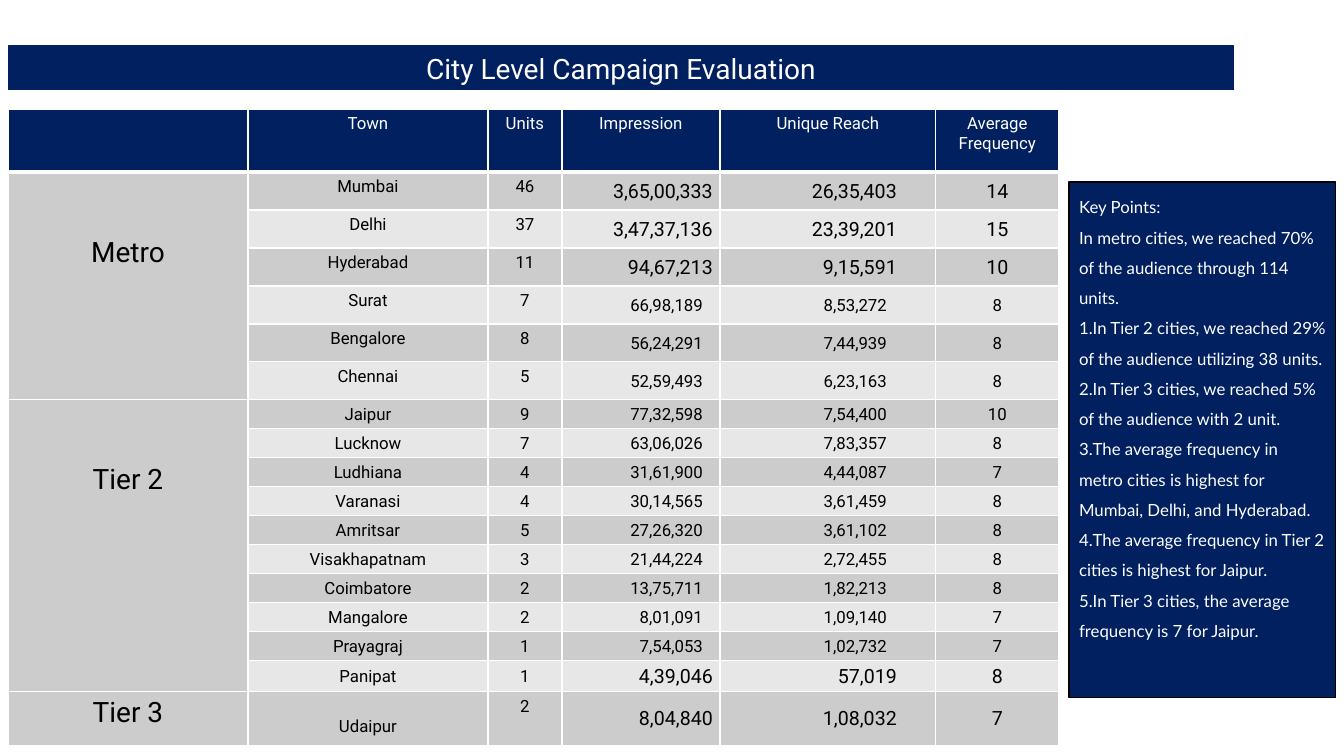
"""Build the city level campaign evaluation slide."""
import pptx
import pptx.dml.color
import pptx.enum.text
import pptx.util
from lxml import etree
from pptx.oxml.ns import qn

NAVY, WHITE, BLACK, GREY, PALE = "002060", "FFFFFF", "000000", "CCCCCC", "E7E7E7"
ALIGN = pptx.enum.text.PP_ALIGN
ANCHOR = pptx.enum.text.MSO_ANCHOR

HEADINGS = ["", "Town", "Units", "Impression", "Unique Reach", "Average Frequency"]
COLUMN_WIDTHS = [240, 240, 74, 158, 216, 123]
CITIES = [
    ("Mumbai", "46", "3,65,00,333", "26,35,403", "14"),
    ("Delhi", "37", "3,47,37,136", "23,39,201", "15"),
    ("Hyderabad", "11", "94,67,213", "9,15,591", "10"),
    ("Surat", "7", "66,98,189", "8,53,272", "8"),
    ("Bengalore", "8", "56,24,291", "7,44,939", "8"),
    ("Chennai", "5", "52,59,493", "6,23,163", "8"),
    ("Jaipur", "9", "77,32,598", "7,54,400", "10"),
    ("Lucknow", "7", "63,06,026", "7,83,357", "8"),
    ("Ludhiana", "4", "31,61,900", "4,44,087", "7"),
    ("Varanasi", "4", "30,14,565", "3,61,459", "8"),
    ("Amritsar", "5", "27,26,320", "3,61,102", "8"),
    ("Visakhapatnam", "3", "21,44,224", "2,72,455", "8"),
    ("Coimbatore", "2", "13,75,711", "1,82,213", "8"),
    ("Mangalore", "2", "8,01,091", "1,09,140", "7"),
    ("Prayagraj", "1", "7,54,053", "1,02,732", "7"),
    ("Panipat", "1", "4,39,046", "57,019", "8"),
    ("Udaipur", "2", "8,04,840", "1,08,032", "7"),
]
TIERS = [("Metro", 1, 6, 64), ("Tier 2", 7, 16, 64), ("Tier 3", 17, 17, 5)]
LARGE_FIGURES = {"Mumbai", "Delhi", "Hyderabad", "Panipat", "Udaipur"}
RIGHT_GAPS = {2: 7, 3: 39}
ROW_HEIGHTS = [63] + [38] * 6 + [29] * 9 + [31, 54]
KEY_POINTS = [
    "In Tier 2 cities, we reached 29% of the audience utilizing 38 units.",
    "In Tier 3 cities, we reached 5% of the audience with 2 unit.",
    "The average frequency in metro cities is highest for Mumbai, Delhi, and Hyderabad.",
    "The average frequency in Tier 2 cities is highest for Jaipur.",
    "In Tier 3 cities, the average frequency is 7 for Jaipur.",
]


def px(length):
    """Turn px into EMU."""
    return pptx.util.Emu(round(length * 12192000 / 1344))


def color(hex_code):
    """Turn a hex string into a colour."""
    return pptx.dml.color.RGBColor.from_string(hex_code)


def add_run(paragraph, text, size, hex_code, font="Roboto"):
    """Add one formatted run."""
    run = paragraph.add_run()
    run.text = text
    run.font.name = font
    run.font.size = pptx.util.Pt(size)
    run.font.bold = False
    run.font.color.rgb = color(hex_code)


def style_cell(cell, fill, bottom=1):
    """Give a cell its white borders and its fill."""
    properties = cell._tc.get_or_add_tcPr()
    for side, points in (("L", 1), ("R", 1), ("T", 1), ("B", bottom)):
        border = etree.SubElement(properties, qn(f"a:ln{side}"), w=str(points * 12700))
        paint = etree.SubElement(border, qn("a:solidFill"))
        etree.SubElement(paint, qn("a:srgbClr"), val=WHITE)
    cell.fill.solid()
    cell.fill.fore_color.rgb = color(fill)


def write_cell(cell, text, size, hex_code=BLACK, align=ALIGN.CENTER, margins=(10, 5, 10, 5),
               anchor=ANCHOR.TOP):
    """Write one line of text into a cell."""
    cell.margin_left, cell.margin_top, cell.margin_right, cell.margin_bottom = map(px, margins)
    cell.vertical_anchor = anchor
    paragraph = cell.text_frame.paragraphs[0]
    paragraph.alignment = align
    add_run(paragraph, text, size, hex_code)


def write_city(table, row, city):
    """Fill the five cells of one city."""
    town = city[0]
    for column, text in enumerate(city):
        cell = table.cell(row, column + 1)
        if column >= 2:
            size = 14 if town in LARGE_FIGURES else 12
            gap = RIGHT_GAPS.get(column)
            if gap:
                right = gap if size == 14 else gap + 10
                write_cell(cell, text, size, align=ALIGN.RIGHT, margins=(1, 1, right, 0),
                           anchor=ANCHOR.MIDDLE)
            else:
                write_cell(cell, text, size, margins=(1, 1, 1, 0), anchor=ANCHOR.MIDDLE)
        elif 7 <= row <= 16:
            write_cell(cell, text, 12, margins=(1, 1, 1, 0), anchor=ANCHOR.MIDDLE)
        else:
            top = 25 if town == "Udaipur" and column == 0 else 5
            write_cell(cell, text, 12, margins=(10, top, 10, 5))


def add_city_table(slide):
    """Add the table of cities grouped by tier."""
    frame = slide.shapes.add_table(len(ROW_HEIGHTS), len(COLUMN_WIDTHS), px(8), px(109),
                                   px(sum(COLUMN_WIDTHS)), px(sum(ROW_HEIGHTS)))
    table = frame.table
    table.first_row = table.horz_banding = False
    for column, width in zip(table.columns, COLUMN_WIDTHS):
        column.width = px(width)
    for index, height in enumerate(ROW_HEIGHTS):
        table.rows[index].height = px(height)
        for column in range(len(COLUMN_WIDTHS)):
            band = GREY if column == 0 or index % 2 else PALE
            if index == 0:
                style_cell(table.cell(index, column), NAVY, bottom=3)
            else:
                style_cell(table.cell(index, column), GREY if index == 17 else band)
    for column, heading in enumerate(HEADINGS):
        if heading:
            write_cell(table.cell(0, column), heading, 12, WHITE)
    for tier, first, last, top in TIERS:
        if last > first:
            table.cell(first, 0).merge(table.cell(last, 0))
        write_cell(table.cell(first, 0), tier, 20, margins=(10, top, 10, 5))
    for row, city in enumerate(CITIES, start=1):
        write_city(table, row, city)


def format_panel(panel, left, top, width, height, line, anchor):
    """Place a placeholder as a navy panel and return its text frame."""
    panel.left, panel.top, panel.width, panel.height = map(px, (left, top, width, height))
    panel.fill.solid()
    panel.fill.fore_color.rgb = color(NAVY)
    panel.line.color.rgb = color(line)
    panel.line.width = pptx.util.Pt(0.75)
    words = panel.text_frame
    words.word_wrap = True
    words.auto_size = pptx.enum.text.MSO_AUTO_SIZE.NONE
    words.vertical_anchor = anchor
    return words


def add_point(paragraph, bullet):
    """Set the spacing and the bullet kind of a key point."""
    paragraph.line_spacing = 1.5
    paragraph.space_before = pptx.util.Pt(0)
    properties = paragraph._p.get_or_add_pPr()
    properties.set("marL", "0")
    properties.set("indent", "0")
    mark = etree.SubElement(properties, qn(f"a:{bullet}"))
    if bullet == "buAutoNum":
        mark.set("type", "arabicPeriod")


def write_key_points(words):
    """Write the lead sentence and the numbered key points."""
    lead = words.paragraphs[0]
    add_point(lead, "buNone")
    add_run(lead, "Key Points:", 12, WHITE, "Lato")
    lead.add_line_break()
    add_run(lead, "In metro cities, we reached 70% of the audience through 114 units.", 12,
            WHITE, "Lato")
    for point in KEY_POINTS:
        paragraph = words.add_paragraph()
        add_point(paragraph, "buAutoNum")
        add_run(paragraph, point, 12, WHITE, "Lato")


def main():
    """Build and save the slide."""
    deck = pptx.Presentation()
    deck.slide_width, deck.slide_height = px(1344), px(756)
    slide = deck.slides.add_slide(deck.slide_layouts[1])
    title = format_panel(slide.shapes.title, 8, 46, 1226, 44, NAVY, ANCHOR.MIDDLE)
    title.paragraphs[0].alignment = ALIGN.CENTER
    add_run(title.paragraphs[0], "City Level Campaign Evaluation", 20, WHITE)
    add_city_table(slide)
    write_key_points(format_panel(slide.placeholders[1], 1069, 182, 267, 516, BLACK, ANCHOR.TOP))
    deck.save("out.pptx")


if __name__ == "__main__":
    main()
